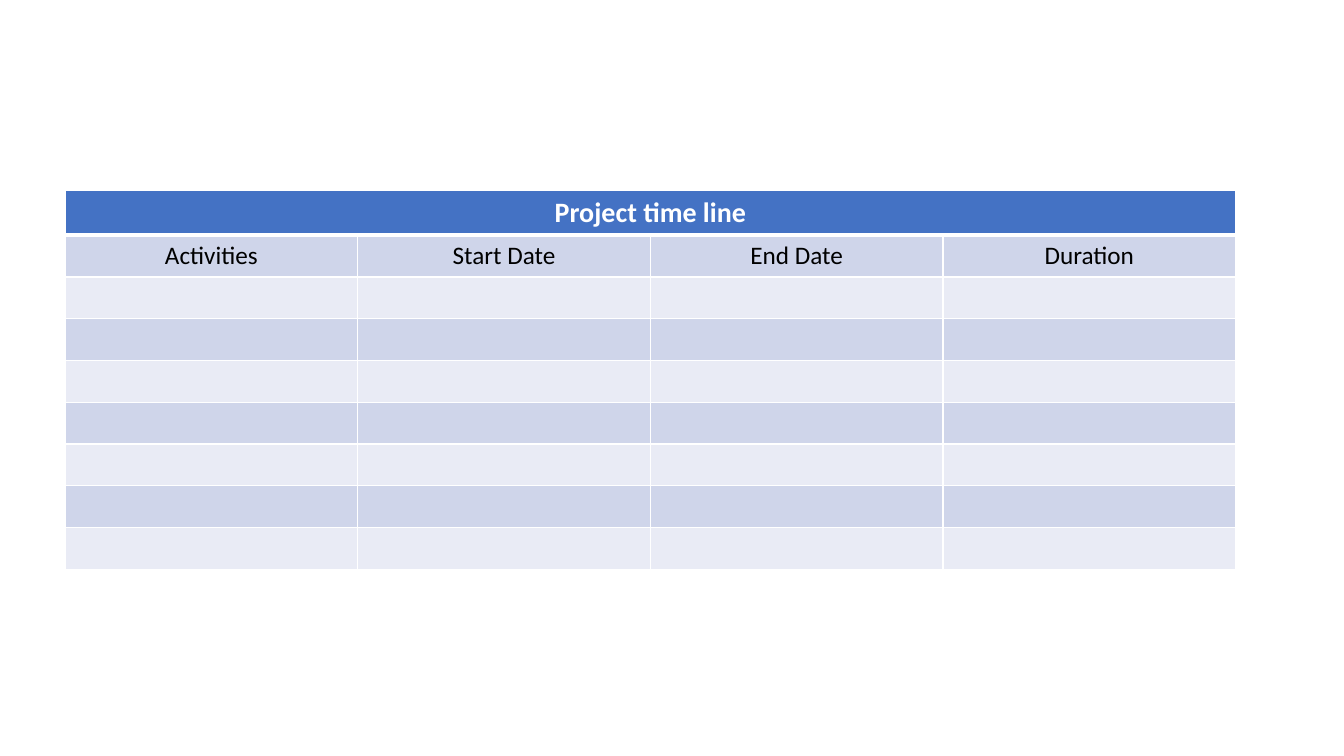
from lxml import etree
from pptx import Presentation
from pptx import util as u
from pptx.dml.color import RGBColor
from pptx.enum import text
from pptx.oxml import ns

COLORS = {
    "header": "4472C4",
    "band_dark": "CFD5EA",
    "band_light": "E9EBF5",
    "white": "FFFFFF",
    "black": "000000",
}
FONT = "Calibri"
TITLE = "Project time line"
HEADINGS = ["Activities", "Start Date", "End Date", "Duration"]
ROWS = 9


def rgb(name):
    return RGBColor.from_string(COLORS[name])


def set_borders(cell, bottom=1, top=1):
    tcPr = cell._tc.get_or_add_tcPr()
    for side, width in (("L", 1), ("R", 1), ("T", top), ("B", bottom)):
        ln = etree.SubElement(tcPr, ns.qn(f"a:ln{side}"), w=str(u.Pt(width)))
        fill = etree.SubElement(ln, ns.qn("a:solidFill"))
        etree.SubElement(fill, ns.qn("a:srgbClr"), val=COLORS["white"])


def set_text(cell, label, size, color, bold):
    p = cell.text_frame.paragraphs[0]
    p.text = label
    p.alignment = text.PP_ALIGN.CENTER
    font = p.runs[0].font
    font.name = FONT
    font.size = u.Pt(size)
    font.bold = bold
    font.color.rgb = rgb(color)


def add_timeline(slide, left, top, width, height):
    cols = len(HEADINGS)
    table = slide.shapes.add_table(ROWS, cols, left, top, width, height).table
    for row in range(ROWS):
        band = "header" if row == 0 else ("band_light", "band_dark")[row % 2]
        for col in range(cols):
            cell = table.cell(row, col)
            set_borders(cell, bottom=3 if row == 0 else 1, top=3 if row == 1 else 1)
            cell.fill.solid()
            cell.fill.fore_color.rgb = rgb(band)
    table.cell(0, 0).merge(table.cell(0, cols - 1))
    set_text(table.cell(0, 0), TITLE, 20, "white", True)
    for col, heading in enumerate(HEADINGS):
        set_text(table.cell(1, col), heading, 18, "black", False)


def main():
    prs = Presentation()
    prs.slide_width = u.Cm(33.87)
    prs.slide_height = u.Cm(19.05)
    slide = prs.slides.add_slide(prs.slide_layouts[6])
    add_timeline(slide, u.Cm(1.64), u.Cm(4.81), u.Cm(29.5), u.Cm(9.47))
    prs.save("out.pptx")


if __name__ == "__main__":
    main()
